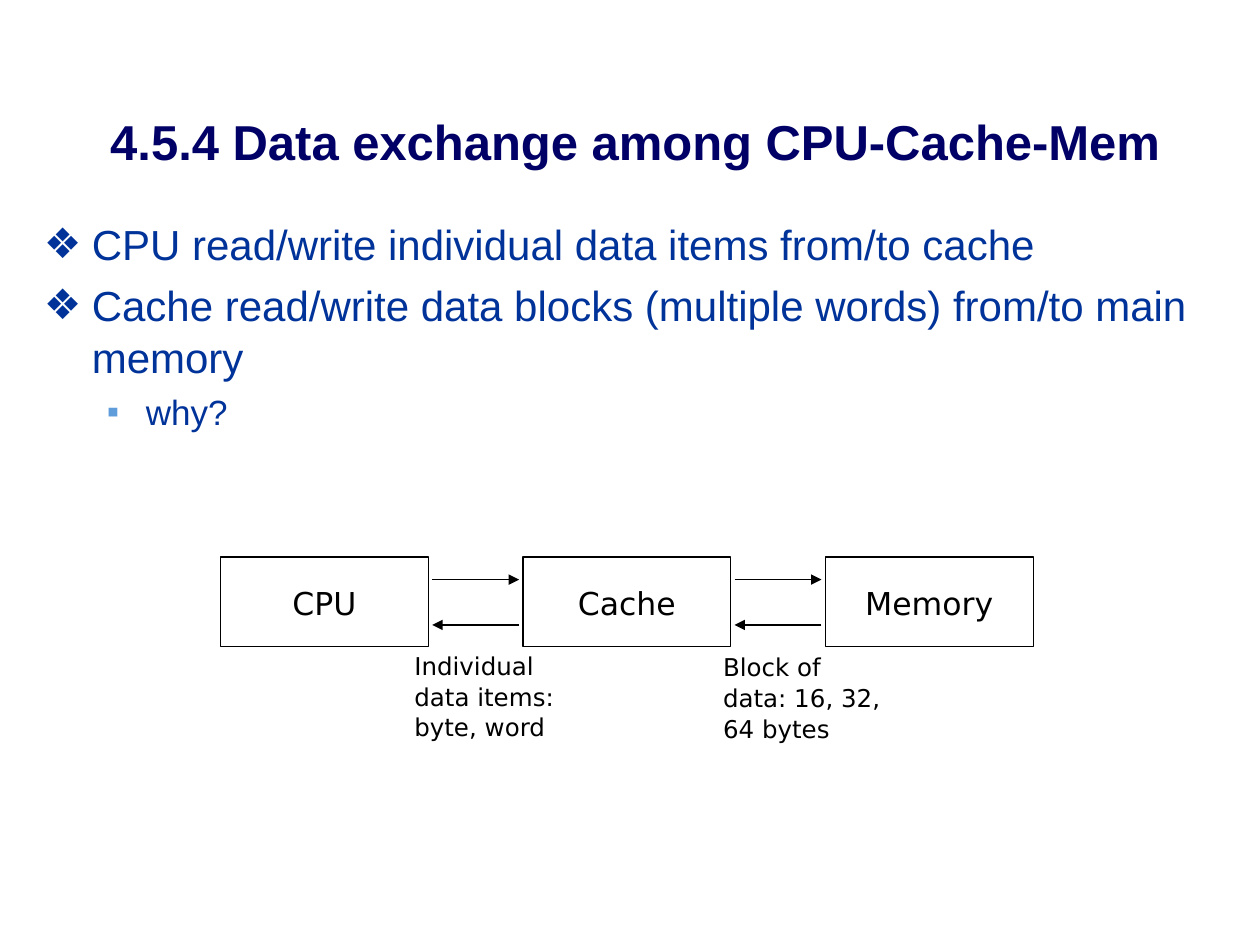
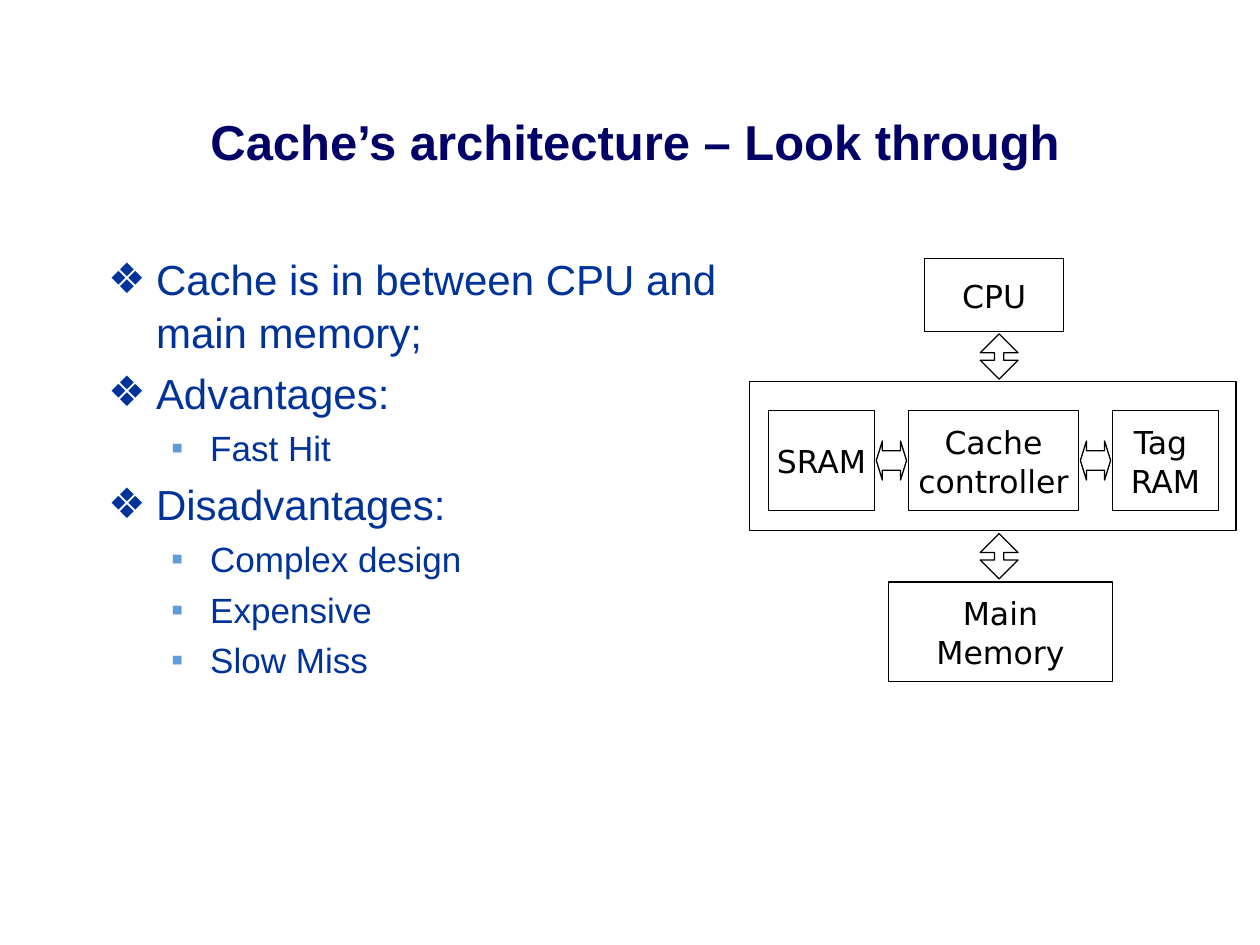
"""Builds two slides on how the CPU, cache and memory are connected."""
from itertools import pairwise

from lxml.etree import SubElement
from pptx import Presentation
from pptx.dml.color import RGBColor
from pptx.enum.shapes import MSO_CONNECTOR as Connector, MSO_SHAPE as Shape
from pptx.enum.text import MSO_ANCHOR as Anchor, PP_ALIGN as Align
from pptx.oxml.ns import qn
from pptx.util import Inches, Pt

THEME = {
    "line_color": RGBColor.from_string("000000"),
    "line_width": Pt(0.75),
    "line_spacing": 1.04,
    "title": {"name": "Arial", "size": Pt(28), "bold": True, "color": "000066"},
    "points": [
        {"name": "Arial", "size": Pt(24), "color": "003399"},
        {"name": "Arial", "size": Pt(20), "color": "003399"},
    ],
    "bullets": [
        {"char": "❖", "color": "003399", "left": 0.38, "hanging": 0.38},
        {"char": "▪", "color": "5E9CDA", "left": 0.81, "hanging": 0.31},
    ],
    "box": {"name": "DejaVu Sans", "size": Pt(18), "color": "000000"},
    "label": {"name": "DejaVu Sans", "size": Pt(14), "color": "000000"},
}
TITLE_AREA = (0.25, 0.83, 9.58, 0.57)

EXCHANGE = {
    "title": "4.5.4 Data exchange among CPU-Cache-Mem",
    "area": (0.25, 1.67, 9.58, 2.67),
    "points": [
        (0, "CPU read/write individual data items from/to cache"),
        (0, "Cache read/write data blocks (multiple words) from/to main memory"),
        (1, "why?"),
    ],
    "units": ["CPU", "Cache", "Memory"],
    "labels": [
        ("Individual \ndata items:\nbyte, word", (3.19, 5.11, 1.34, 0.8)),
        ("Block of \ndata: 16, 32, 64 bytes", (5.64, 5.12, 1.47, 0.8)),
    ],
}
UNITS = {"left": 1.75, "top": 4.42, "width": 1.65, "height": 0.71, "pitch": 2.4}
ARROW_ROWS = {"forward": 4.6, "back": 4.96, "gap": 0.03}

LOOK_THROUGH = {
    "title": "Cache’s architecture – Look through",
    "area": (0.76, 1.95, 5.08, 4.76),
    "points": [
        (0, "Cache is in between CPU and main memory;"),
        (0, "Advantages:"),
        (1, "Fast Hit"),
        (0, "Disadvantages:"),
        (1, "Complex design"),
        (1, "Expensive"),
        (1, "Slow Miss"),
    ],
    "stack": [
        ("CPU", (7.34, 2.05, 1.1, 0.58)),
        ("", (5.95, 3.03, 3.86, 1.18)),
        ("Main\nMemory", (7.05, 4.62, 1.78, 0.79)),
    ],
    "cache_parts": [("SRAM", 0.84), ("Cache\ncontroller", 1.35), ("Tag \nRAM", 0.84)],
}
CACHE_ROW = {"left": 6.1, "top": 3.26, "height": 0.79, "gap": 0.27}
ACROSS = {"top": 3.5, "width": 0.24, "height": 0.31, "head": 0.2}
UPRIGHT = {"left": 7.78, "width": 0.3, "height": 0.36, "head": 0.244}


def inches(*lengths):
    return [Inches(length) for length in lengths]


def set_values(target, values):
    for name, value in values.items():
        if name == "color":
            target.color.rgb = RGBColor.from_string(value)
        else:
            setattr(target, name, value)


def write(paragraph, text, font, **layout):
    paragraph.text = text
    set_values(paragraph, {"line_spacing": THEME["line_spacing"], **layout})
    set_values(paragraph.font, font)


def add_text(slide, area, **frame_values):
    frame = slide.shapes.add_textbox(*inches(*area)).text_frame
    set_values(frame, {"word_wrap": True, **frame_values})
    return frame


def add_bullet(paragraph, char, color, left, hanging):
    properties = paragraph._p.get_or_add_pPr()
    properties.set("marL", str(Inches(left)))
    properties.set("indent", str(-Inches(hanging)))
    bullet_color = SubElement(properties, qn("a:buClr"))
    SubElement(bullet_color, qn("a:srgbClr"), val=color)
    SubElement(properties, qn("a:buFont"), typeface="Arial")
    SubElement(properties, qn("a:buChar"), char=char)


def set_line(line):
    line.color.rgb = THEME["line_color"]
    line.width = THEME["line_width"]


def add_outline(slide, kind, area):
    shape = slide.shapes.add_shape(kind, *inches(*area))
    shape.shadow.inherit = False
    shape.fill.background()
    set_line(shape.line)
    return shape


def add_box(slide, text, area):
    frame = add_outline(slide, Shape.RECTANGLE, area).text_frame
    if text:
        set_values(frame, {"word_wrap": False, "vertical_anchor": Anchor.MIDDLE})
        write(frame.paragraphs[0], text, THEME["box"], alignment=Align.CENTER)


def add_block_arrow(slide, kind, area, head):
    arrow = add_outline(slide, kind, area)
    arrow.adjustments[0] = 0.5
    arrow.adjustments[1] = head


def add_arrow(slide, start, end, top):
    arrow = slide.shapes.add_connector(
        Connector.STRAIGHT, *inches(start, top, end, top))
    set_line(arrow.line)
    SubElement(arrow.line._get_or_add_ln(), qn("a:tailEnd"), type="triangle")
    SubElement(arrow._element.spPr, qn("a:effectLst"))


def add_slide(presentation, content):
    slide = presentation.slides.add_slide(presentation.slide_layouts[6])
    title = add_text(slide, TITLE_AREA, vertical_anchor=Anchor.BOTTOM)
    write(title.paragraphs[0], content["title"], THEME["title"],
          alignment=Align.CENTER, line_spacing=1.0)
    body = add_text(slide, content["area"])
    for index, (level, text) in enumerate(content["points"]):
        paragraph = body.add_paragraph() if index else body.paragraphs[0]
        add_bullet(paragraph, **THEME["bullets"][level])
        font = THEME["points"][level]
        space = Pt(0.2 * font["size"].pt) if index else Pt(0)
        write(paragraph, text, font, level=level, space_before=space)
    return slide


def draw_exchange(slide):
    lefts = [UNITS["left"] + index * UNITS["pitch"]
             for index in range(len(EXCHANGE["units"]))]
    for text, left in zip(EXCHANGE["units"], lefts):
        add_box(slide, text, (left, UNITS["top"], UNITS["width"], UNITS["height"]))
    for left, following in pairwise(lefts):
        start = left + UNITS["width"] + ARROW_ROWS["gap"]
        end = following - ARROW_ROWS["gap"]
        add_arrow(slide, start, end, ARROW_ROWS["forward"])
        add_arrow(slide, end, start, ARROW_ROWS["back"])
    for text, area in EXCHANGE["labels"]:
        write(add_text(slide, area).paragraphs[0], text, THEME["label"])


def draw_look_through(slide):
    for text, area in LOOK_THROUGH["stack"]:
        add_box(slide, text, area)
    for (_, above), (_, below) in pairwise(LOOK_THROUGH["stack"]):
        middle = (above[1] + above[3] + below[1]) / 2
        area = (UPRIGHT["left"], middle - UPRIGHT["height"] / 2,
                UPRIGHT["width"], UPRIGHT["height"])
        add_block_arrow(slide, Shape.UP_DOWN_ARROW, area, UPRIGHT["head"])
    left = CACHE_ROW["left"]
    for index, (text, width) in enumerate(LOOK_THROUGH["cache_parts"]):
        if index:
            start = left - (CACHE_ROW["gap"] + ACROSS["width"]) / 2
            area = (start, ACROSS["top"], ACROSS["width"], ACROSS["height"])
            add_block_arrow(slide, Shape.LEFT_RIGHT_ARROW, area, ACROSS["head"])
        add_box(slide, text, (left, CACHE_ROW["top"], width, CACHE_ROW["height"]))
        left += width + CACHE_ROW["gap"]


def main():
    presentation = Presentation()
    presentation.slide_width, presentation.slide_height = inches(10, 7.5)
    draw_exchange(add_slide(presentation, EXCHANGE))
    draw_look_through(add_slide(presentation, LOOK_THROUGH))
    presentation.save("out.pptx")


if __name__ == "__main__":
    main()
